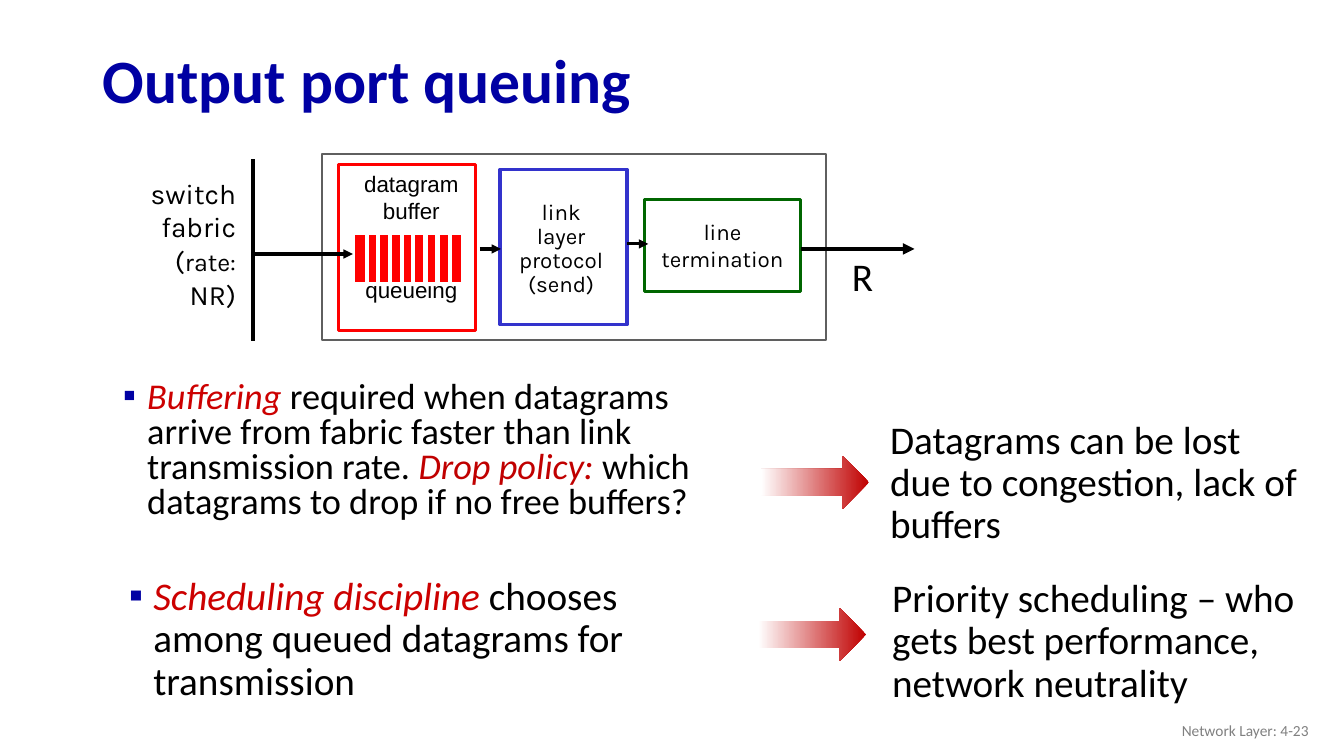
from lxml import etree
from pptx import Presentation
from pptx.dml.color import RGBColor
from pptx.enum.shapes import MSO_CONNECTOR, MSO_SHAPE
from pptx.enum.text import MSO_ANCHOR, MSO_AUTO_SIZE, PP_ALIGN
from pptx.oxml.ns import qn
from pptx.util import Pt

PX = 9144
RECT, ARROW = MSO_SHAPE.RECTANGLE, MSO_SHAPE.RIGHT_ARROW
STRAIGHT = MSO_CONNECTOR.STRAIGHT
TOP, MIDDLE = MSO_ANCHOR.TOP, MSO_ANCHOR.MIDDLE
LEFT, CENTER, RIGHT = PP_ALIGN.LEFT, PP_ALIGN.CENTER, PP_ALIGN.RIGHT

WHITE = RGBColor(0xFF, 0xFF, 0xFF)
BLACK = RGBColor(0, 0, 0)
NAVY = RGBColor(0x00, 0x00, 0xA3)
RED = RGBColor(0xFF, 0, 0)
CRIMSON = RGBColor(0xCC, 0, 0)
DARK_RED = RGBColor(0xC0, 0, 0)
GREEN = RGBColor(0, 0x66, 0)
BLUE = RGBColor(0x33, 0x33, 0xCC)
FRAME_GRAY = RGBColor(0x5F, 0x5F, 0x5F)
FOOTER_GRAY = RGBColor(0x80, 0x80, 0x80)


def px(*lengths):
    """Convert pixel lengths to EMU."""
    return [length * PX for length in lengths]


def place(sp, box):
    """Move and size a placeholder."""
    for name, value in zip(("left", "top", "width", "height"), px(*box)):
        setattr(sp, name, value)


def add_run(p, text, color=BLACK, **formats):
    """Append a run with its font settings."""
    r = p.add_run()
    r.text = text
    r.font.color.rgb = color
    for name, value in formats.items():
        setattr(r.font, name, value)


def add_label(slide, box, lines, size, font="Calibri", color=BLACK,
              align=LEFT, anchor=TOP, wrap=False, spacing=1.0):
    """Add a text box; each line is text or a list of (text, size) runs."""
    tf = slide.shapes.add_textbox(*px(*box)).text_frame
    tf.word_wrap = wrap
    tf.vertical_anchor = anchor
    for i, line in enumerate(lines):
        p = tf.add_paragraph() if i else tf.paragraphs[0]
        p.alignment = align
        p.line_spacing = spacing
        runs = [(line, size)] if isinstance(line, str) else line
        for text, run_size in runs:
            add_run(p, text, color, size=Pt(run_size), name=font)
    return tf


def add_box(slide, box, line, width=2.25, fill=WHITE):
    """Add an outlined rectangle."""
    sp = slide.shapes.add_shape(RECT, *px(*box))
    sp.shadow.inherit = False
    sp.fill.solid()
    sp.fill.fore_color.rgb = fill
    sp.line.color.rgb = line
    sp.line.width = Pt(width)


def add_line(slide, ends, color=BLACK, width=2.25, head=False):
    """Add a straight line, with an arrowhead at its end if asked."""
    sp = slide.shapes.add_connector(STRAIGHT, *px(*ends))
    sp.line.color.rgb = color
    sp.line.width = Pt(width)
    if head:
        etree.SubElement(sp.line._get_or_add_ln(), qn("a:tailEnd"), type="triangle")
    etree.SubElement(sp._element.spPr, qn("a:effectLst"))


def add_gradient_arrow(slide, left, top):
    """Add a block arrow that fades in from white to red."""
    sp = slide.shapes.add_shape(ARROW, *px(left, top, 107, 53))
    sp.shadow.inherit = False
    sp.line.fill.background()
    sp.fill.gradient()
    sp.fill.gradient_angle = 180
    for stop, color, position in zip(sp.fill.gradient_stops, (DARK_RED, WHITE), (0, 1)):
        stop.color.rgb = color
        stop.position = position


def fill_title(sp, text):
    """Place and format the slide title."""
    place(sp, (92, 34, 1150, 98))
    tf = sp.text_frame
    tf.vertical_anchor = MIDDLE
    p = tf.paragraphs[0]
    p.alignment = LEFT
    p.line_spacing = 0.9
    add_run(p, text, NAVY, size=Pt(44), name="Calibri", bold=True)


def fill_bullet(sp, box, runs, size, spacing):
    """Place a body placeholder and write one bullet of (text, color) runs."""
    place(sp, box)
    tf = sp.text_frame
    tf.auto_size = MSO_AUTO_SIZE.NONE
    p = tf.paragraphs[0]
    p.line_spacing = spacing
    p.space_before = Pt(0)
    pPr = p._p.get_or_add_pPr()
    pPr.set("marL", str(39 * PX))
    pPr.set("indent", str(-24 * PX))
    color = etree.SubElement(pPr, qn("a:buClr"))
    etree.SubElement(color, qn("a:srgbClr"), val=str(NAVY))
    etree.SubElement(pPr, qn("a:buFont"), typeface="Calibri")
    etree.SubElement(pPr, qn("a:buChar"), char="▪")
    for text, color in runs:
        add_run(p, text, color, size=Pt(size), name="Calibri", italic=color != BLACK)


def draw_port(slide):
    """Draw the output port from switch fabric to outgoing link."""
    add_box(slide, (319, 153, 500, 184), FRAME_GRAY, 1.5)
    add_box(slide, (639, 198, 155, 91), GREEN)
    add_label(slide, (639, 198, 155, 91), ["line", "termination"], 16, "Karla",
              align=CENTER, anchor=MIDDLE)
    add_box(slide, (496, 168, 126, 154), BLUE)
    add_label(slide, (499, 202, 115, 91), ["link", "layer", "protocol", "(send)"], 16,
              "Karla", align=CENTER, anchor=MIDDLE, spacing=0.9)
    add_label(slide, (129, 196, 115, 91),
              ["switch", "fabric", [("(", 20), ("rate: ", 18), ("NR)", 20)]], 20,
              "Karla", align=RIGHT, anchor=MIDDLE)
    draw_queue(slide)
    add_line(slide, (251, 158, 251, 338))
    for ends in ((476, 247, 497, 247), (622, 242, 643, 242), (249, 252, 350, 252)):
        add_line(slide, ends, head=True)
    add_line(slide, (794, 247, 907, 247), width=2.75, head=True)
    add_label(slide, (835, 245, 35, 57), ["R"], 28, wrap=True)


def draw_queue(slide):
    """Draw the datagram buffer with its row of queue slots."""
    add_box(slide, (336, 163, 136, 165), RED)
    tf = add_label(slide, (345, 164, 126, 160), ["datagram", "buffer", "queueing"], 16,
                   "Arial", align=CENTER)
    tf.paragraphs[-1].space_before = Pt(37)
    add_box(slide, (350, 231, 109, 51), WHITE, 3, RED)
    for i in range(8):
        x = 364 + 82 * i // 7
        add_line(slide, (x, 232, x, 281), WHITE, 3)


def main():
    """Build the slide and save it."""
    prs = Presentation()
    prs.slide_width, prs.slide_height = px(1333, 750)
    slide = prs.slides.add_slide(prs.slide_layouts[3])
    title, buffering, scheduling = slide.placeholders
    fill_title(title, "Output port queuing")
    fill_bullet(buffering, (97, 374, 654, 155), [
        ("Buffering", CRIMSON),
        (" required when datagrams arrive from fabric faster than link "
         "transmission rate. ", BLACK),
        ("Drop policy: ", DARK_RED),
        ("which datagrams to drop if no free buffers?", BLACK)], 25.9, 0.8)
    fill_bullet(scheduling, (103, 567, 561, 141), [
        ("Scheduling discipline", CRIMSON),
        (" chooses among queued datagrams for transmission", BLACK)], 28, 0.9)
    for box, text, arrow in (
            ((873, 412, 432, 137),
             "Datagrams can be lost due to congestion, lack of buffers", (755, 452)),
            ((875, 569, 458, 137),
             "Priority scheduling – who gets best performance, network neutrality",
             (752, 603))):
        add_label(slide, box, [text], 28, wrap=True, spacing=0.9)
        add_gradient_arrow(slide, *arrow)
    draw_port(slide)
    add_label(slide, (1008, 705, 300, 40), ["Network Layer: 4-23"], 11,
              color=FOOTER_GRAY, align=RIGHT, anchor=MIDDLE, wrap=True)
    prs.save("out.pptx")


if __name__ == "__main__":
    main()
